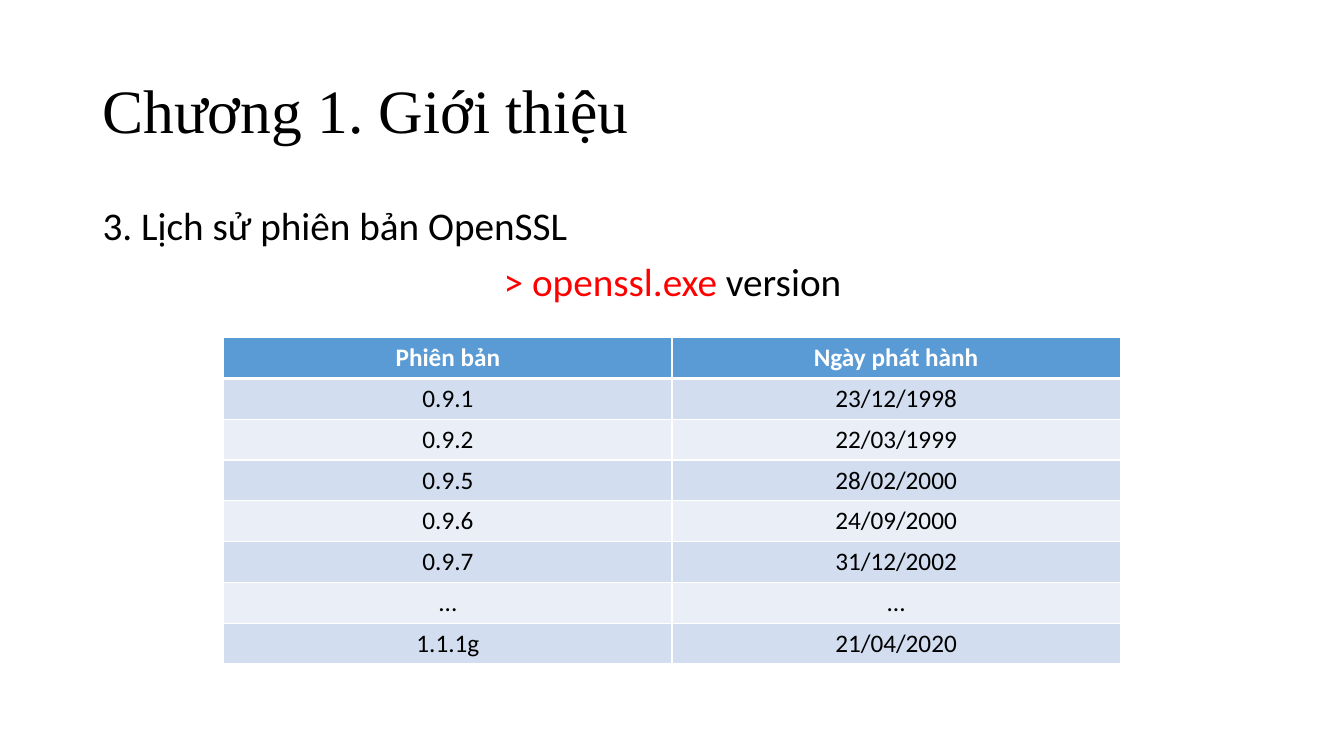
from lxml import etree
from pptx import Presentation
from pptx import util as u
from pptx.dml.color import RGBColor
from pptx.enum import text
from pptx.oxml import ns

BLACK = RGBColor(0x00, 0x00, 0x00)
WHITE = RGBColor(0xFF, 0xFF, 0xFF)
RED = RGBColor(0xFF, 0x00, 0x00)
HEADER_BLUE = RGBColor(0x5B, 0x9B, 0xD5)
BAND_BLUES = (RGBColor(0xEA, 0xEF, 0xF7), RGBColor(0xD2, 0xDE, 0xEF))

TITLE = [[("Chương 1. Giới thiệu", BLACK)]]
BODY = [
    [("3. Lịch sử phiên bản OpenSSL", BLACK)],
    [("> openssl.exe ", RED), ("version", BLACK)],
]
VERSIONS = [
    ("Phiên bản", "Ngày phát hành"),
    ("0.9.1", "23/12/1998"),
    ("0.9.2", "22/03/1999"),
    ("0.9.5", "28/02/2000"),
    ("0.9.6", "24/09/2000"),
    ("0.9.7", "31/12/2002"),
    ("...", "..."),
    ("1.1.1g", "21/04/2020"),
]

TITLE_FORMAT = {"name": "Times New Roman", "size": u.Pt(44)}
BODY_FORMAT = {"name": "Calibri", "size": u.Pt(28)}
CELL_FORMAT = {"name": "Calibri", "size": u.Pt(18)}

PX = u.Inches(1) // 100
SLIDE_SIZE = (1333, 750)
TITLE_BOX = (92, 40, 1150, 145)
BODY_BOX = (92, 200, 1150, 476)
TABLE_BOX = (222, 335, 889, 324)


def to_emu(lengths):
    return [length * PX for length in lengths]


def add_run(paragraph, words, color, font_format):
    run = paragraph.add_run()
    run.text = words
    for name, value in font_format.items():
        setattr(run.font, name, value)
    run.font.color.rgb = color


def add_text(slide, box, lines, font_format, anchor):
    frame = slide.shapes.add_textbox(*to_emu(box)).text_frame
    frame.word_wrap = True
    frame.vertical_anchor = anchor
    for index, line in enumerate(lines):
        paragraph = frame.add_paragraph() if index else frame.paragraphs[0]
        paragraph.line_spacing = 0.9
        if index:
            paragraph.space_before = u.Pt(10)
            paragraph.alignment = text.PP_ALIGN.CENTER
        for words, color in line:
            add_run(paragraph, words, color, font_format)


def add_borders(cell, widths):
    properties = cell._tc.get_or_add_tcPr()
    for side, points in widths.items():
        line = etree.SubElement(properties, ns.qn(f"a:ln{side}"), w=str(u.Pt(points)))
        fill = etree.SubElement(line, ns.qn("a:solidFill"))
        etree.SubElement(fill, ns.qn("a:srgbClr"), val=str(WHITE))


def add_version_table(slide):
    row_count, column_count = len(VERSIONS), len(VERSIONS[0])
    frame = slide.shapes.add_table(row_count, column_count, *to_emu(TABLE_BOX))
    for row, values in enumerate(VERSIONS):
        header = row == 0
        for column, words in enumerate(values):
            cell = frame.table.cell(row, column)
            add_borders(cell, {"L": 1, "R": 1, "T": 3 if row == 1 else 1, "B": 3 if header else 1})
            cell.fill.solid()
            cell.fill.fore_color.rgb = HEADER_BLUE if header else BAND_BLUES[row % 2]
            paragraph = cell.text_frame.paragraphs[0]
            paragraph.alignment = text.PP_ALIGN.CENTER
            add_run(paragraph, words, WHITE if header else BLACK, {**CELL_FORMAT, "bold": header})


def main():
    presentation = Presentation()
    presentation.slide_width, presentation.slide_height = to_emu(SLIDE_SIZE)
    slide = presentation.slides.add_slide(presentation.slide_layouts[6])
    add_text(slide, TITLE_BOX, TITLE, TITLE_FORMAT, text.MSO_ANCHOR.MIDDLE)
    add_text(slide, BODY_BOX, BODY, BODY_FORMAT, text.MSO_ANCHOR.TOP)
    add_version_table(slide)
    presentation.save("out.pptx")


if __name__ == "__main__":
    main()
